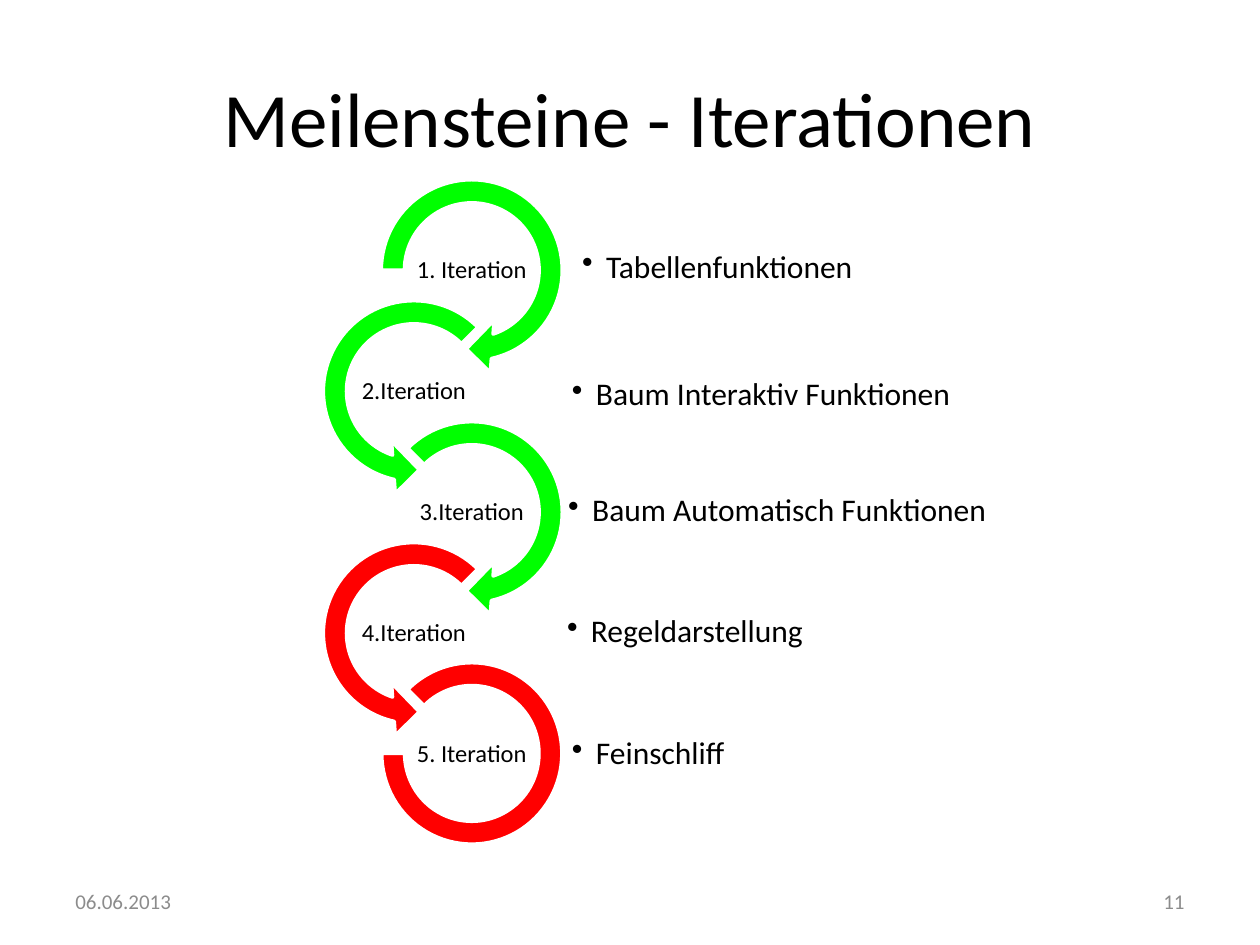
import pptx
import pptx.util
import pptx.dml.color
import pptx.enum.shapes
import pptx.enum.text
import lxml.etree
from pptx.util import Inches, Pt

BLACK = pptx.dml.color.RGBColor(0x00, 0x00, 0x00)
WHITE = pptx.dml.color.RGBColor(0xFF, 0xFF, 0xFF)
GRAY = pptx.dml.color.RGBColor(0x8C, 0x8C, 0x8C)
GREEN = pptx.dml.color.RGBColor(0x00, 0xFF, 0x00)
RED = pptx.dml.color.RGBColor(0xFF, 0x00, 0x00)
ALIGN = pptx.enum.text.PP_ALIGN
SHAPE = pptx.enum.shapes.MSO_SHAPE

deck = pptx.Presentation()
deck.slide_width = Inches(10)
deck.slide_height = Inches(7.5)
page = deck.slides.add_slide(deck.slide_layouts[6])


def add_text(text, left, top, width, height, size, align=ALIGN.LEFT, color=BLACK, tight=False):
    """Add a vertically centred one-line text; tight means narrow margins and line spacing."""
    box = page.shapes.add_textbox(Inches(left), Inches(top), Inches(width), Inches(height))
    frame = box.text_frame
    frame.word_wrap = True
    frame.vertical_anchor = pptx.enum.text.MSO_ANCHOR.MIDDLE
    frame.text = text
    para = frame.paragraphs[0]
    para.alignment = align
    if tight:
        frame.margin_left = frame.margin_right = Inches(0.01)
        frame.margin_top = frame.margin_bottom = Inches(0.01)
        para.line_spacing = 0.9
    span = para.runs[0]
    span.font.name = "Calibri"
    span.font.size = Pt(size)
    span.font.color.rgb = color
    return para


def add_bullet(para):
    properties = para._p.get_or_add_pPr()
    properties.set("marL", str(Inches(0.19)))
    properties.set("indent", str(-Inches(0.19)))
    bullet = lxml.etree.SubElement(properties, pptx.oxml.ns.qn("a:buChar"))
    bullet.set("char", "•")


add_text("Meilensteine - Iterationen", 0.5, 0.3, 9, 1.25, 44, ALIGN.CENTER)

# Arc geometry: shape, left, width, height, adjustments
FIRST = (SHAPE.CIRCULAR_ARROW, 2.91, 1.67, 1.67, (0.11, 11.42, 45, 108, 0.125))
RIGHT = (SHAPE.CIRCULAR_ARROW, 2.91, 1.67, 1.67, (0.11, 11.42, 45, 135, 0.125))
LEFT = (SHAPE.LEFT_CIRCULAR_ARROW, 2.45, 1.67, 1.67, (0.11, 11.42, 63, 189, 0.125))
LAST = (SHAPE.BLOCK_ARC, 3.03, 1.43, 1.44, (135, 108, 0.127))

# Arc, arc top, colour, label, label left, result, result left, top and width
iterations = [
    (FIRST, 1.31, GREEN, "1. Iteration", 3.28, "Tabellenfunktionen", 4.61, 1.8, 2.68),
    (LEFT, 2.27, GREEN, "2.Iteration", 2.82, "Baum Interaktiv Funktionen", 4.53, 2.81, 4.03),
    (RIGHT, 3.23, GREEN, "3.Iteration", 3.28, "Baum Automatisch Funktionen", 4.5, 3.73, 5.07),
    (LEFT, 4.19, RED, "4.Iteration", 2.82, "Regeldarstellung", 4.49, 4.69, 2.01),
    (LAST, 5.26, RED, "5. Iteration", 3.28, "Feinschliff", 4.53, 5.66, 1.73),
]
LABEL_TOP = 1.91
LABEL_STEP = 0.96

for index, iteration in enumerate(iterations):
    arc, arc_top, color, label, label_left, result, result_left, result_top, result_width = iteration
    kind, arc_left, arc_width, arc_height, adjustments = arc
    arrow = page.shapes.add_shape(
        kind, Inches(arc_left), Inches(arc_top), Inches(arc_width), Inches(arc_height))
    for position, value in enumerate(adjustments):
        arrow.adjustments[position] = value
    arrow.shadow.inherit = False
    arrow.fill.solid()
    arrow.fill.fore_color.rgb = color
    arrow.line.color.rgb = WHITE
    arrow.line.width = Pt(2)

    add_bullet(add_text(result, result_left, result_top, result_width, 0.66, 18, tight=True))
    add_text(label, label_left, LABEL_TOP + index * LABEL_STEP, 0.93, 0.47, 14,
             ALIGN.CENTER, tight=True)

add_text("06.06.2013", 0.5, 6.95, 2.33, 0.4, 12, color=GRAY)
add_text("11", 7.17, 6.95, 2.33, 0.4, 12, ALIGN.RIGHT, GRAY)

deck.save("out.pptx")
